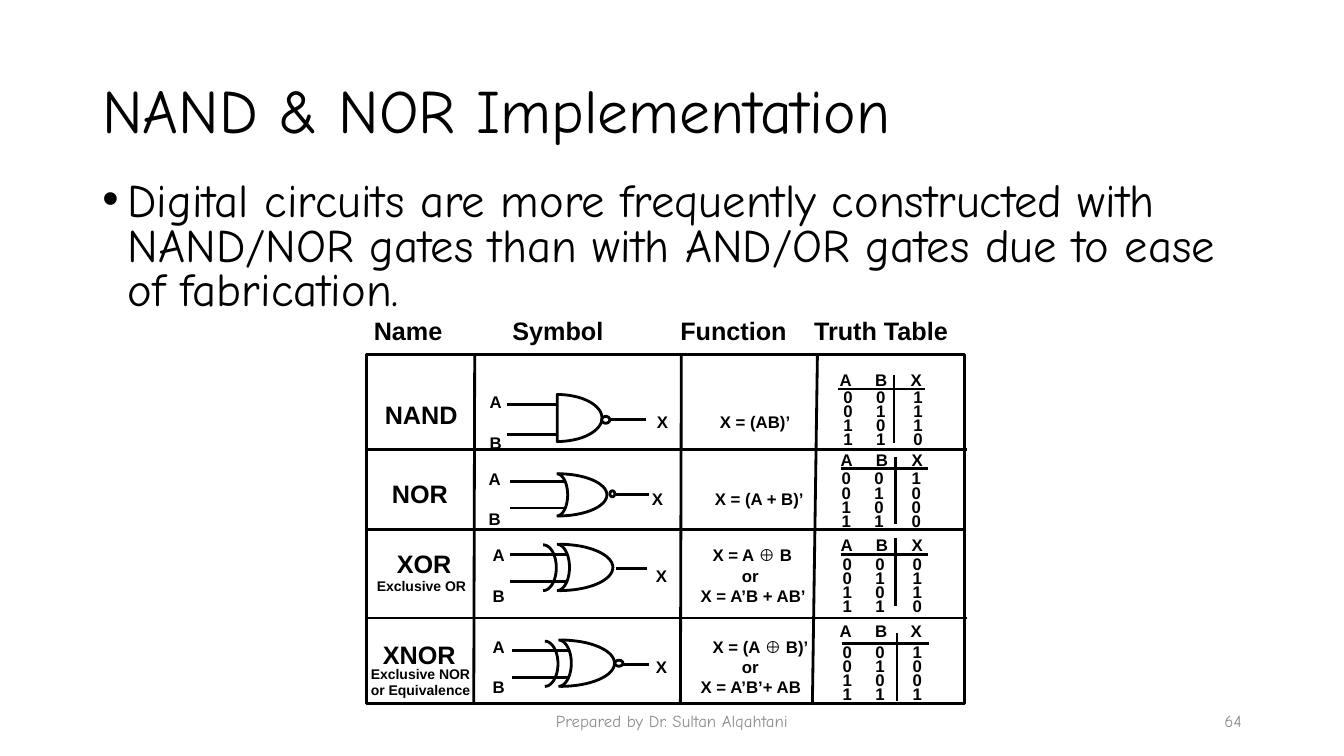
"""Build a slide that compares the NAND, NOR, XOR and XNOR gates."""
from dataclasses import dataclass
from itertools import product
from math import cos, pi, sin
from typing import NamedTuple, Optional

from lxml import etree
from pptx import Presentation
from pptx import util as u
from pptx.dml.color import RGBColor
from pptx.enum import shapes, text
from pptx.oxml.ns import qn

BLACK, WHITE, GREY = "000000", "FFFFFF", "8C8C8C"
HAND, SANS = "Comic Neue", "Arial"
STROKE = 2
FRAME_TOP, FRAME_BOTTOM = 253.4, 503.3


class Point(NamedTuple):
    x: float
    y: float


class Area(NamedTuple):
    x: float
    y: float
    width: float
    height: float


class Cell(NamedTuple):
    tab: float
    words: str


@dataclass
class Symbol:
    body: Area
    inputs: tuple[float, float]
    wire_start: float
    wire_end: float
    output: tuple[float, float]
    output_y: float
    bubble: Optional[Area] = None
    backs: tuple[Area, ...] = ()


@dataclass
class Truth:
    outputs: str
    header: Point
    digits: Point
    rule: Point
    stem: Point


@dataclass
class Gate:
    name: str
    name_at: Point
    label_at: Point
    labels: list[list[Cell]]
    symbol: Symbol
    truth: Truth
    note: tuple[str, ...] = ()
    note_at: Point = Point(0, 0)


def simple_labels(output_tab: float, function_tab: float, formula: str) -> list[list[Cell]]:
    return [[Cell(0, "A")],
            [Cell(output_tab, "X"), Cell(function_tab, formula)],
            [Cell(0, "B")]]


def exclusive_labels(first: str, second: str) -> list[list[Cell]]:
    return [[Cell(0, "A"), Cell(157, first)],
            [Cell(116.5, "X"), Cell(178, "or")],
            [Cell(0, "B"), Cell(148.5, second)]]


GATES = [
    Gate("NAND", Point(267.8, 281.5), Point(342.7, 276.5),
         simple_labels(119.4, 164.4, "X = (AB)’"),
         Symbol(Area(398, 281.8, 32, 33.6), (288.7, 310.3), 362.2, 398,
                (436.3, 461.5), 299.5, Area(429.8, 297.4, 5.8, 5)),
         Truth("1110", Point(592.6, 264.2), Point(595.4, 276.5),
               Point(598.3, 277.9), Point(638.6, 267.8))),
    Gate("NOR", Point(272.9, 338.4), Point(342, 331.2),
         simple_labels(116.5, 161.5, "X = (A + B)’"),
         Symbol(Area(398.2, 338.4, 35.3, 30.2), (344.2, 362.9), 364.6, 404.6,
                (435.6, 463.7), 353.5, Area(435.6, 350.6, 3.6, 4.3),
                (Area(397.6, 338.4, 7.9, 30.2),)),
         Truth("1000", Point(593.3, 321.8), Point(594, 334.8),
               Point(600.5, 334.8), Point(639.4, 326.2))),
    Gate("XOR", Point(276.4, 388.1), Point(344.9, 385.9),
         exclusive_labels("X = A ⊕ B", "X = A’B + AB’"),
         Symbol(Area(399.6, 388.8, 38.2, 33.1), (396, 415.4), 364.6, 406,
                (439.9, 462.2), 406.1, None,
                (Area(397.8, 388.8, 9, 33.1), Area(388, 389.2, 9.4, 32.7))),
         Truth("0110", Point(593.3, 382.3), Point(594.7, 396),
               Point(600.5, 396), Point(639.4, 384.5)),
         ("Exclusive OR",), Point(262.1, 408.8)),
    Gate("XNOR", Point(266.4, 452.9), Point(344.9, 451.4),
         exclusive_labels("X = (A ⊕ B)’", "X = A’B’+ AB"),
         Symbol(Area(400.5, 457.2, 38.5, 33.1), (464.4, 483.8), 365.6, 406.8,
                (441.4, 463.7), 474.5, Area(439.2, 471.6, 5.8, 4.3),
                (Area(398.9, 457.2, 9.2, 33.1), Area(389.2, 458, 9.4, 32.3))),
         Truth("1001", Point(592.6, 443.5), Point(594.7, 458.6),
               Point(601.2, 459.4), Point(640.8, 452.2)),
         ("Exclusive NOR", "or Equivalence"), Point(257.8, 471.6)),
]


def colour(code: str) -> RGBColor:
    return RGBColor.from_string(code)


def add_span(para, words: str, size: float, font: str, code: str, bold: bool) -> None:
    span = para.add_run()
    span.text = words
    span.font.size, span.font.name, span.font.bold = u.Pt(size), font, bold
    span.font.color.rgb = colour(code)


def add_lines(page, area: Area, lines: list[list[Cell]], size: float = 12, spacing: float = 1,
              font: str = SANS, code: str = BLACK, bold: bool = True,
              align=text.PP_ALIGN.LEFT, anchor=text.MSO_ANCHOR.TOP) -> None:
    box = page.shapes.add_textbox(*map(u.Pt, area))
    frame = box.text_frame
    frame.word_wrap, frame.vertical_anchor = True, anchor
    for index, cells in enumerate(lines):
        para = frame.add_paragraph() if index else frame.paragraphs[0]
        para.alignment, para.line_spacing = align, spacing
        stops = [cell.tab for cell in cells if cell.tab]
        if stops:
            tabs = etree.SubElement(para._p.get_or_add_pPr(), qn("a:tabLst"))
            for stop in stops:
                etree.SubElement(tabs, qn("a:tab"), pos=str(u.Pt(stop)), algn="l")
        for cell in cells:
            add_span(para, ("\t" if cell.tab else "") + cell.words, size, font, code, bold)


def style_shape(shape, fill: Optional[str] = None) -> None:
    shape.shadow.inherit = False
    shape.line.color.rgb, shape.line.width = colour(BLACK), u.Pt(STROKE)
    if fill:
        shape.fill.solid()
        shape.fill.fore_color.rgb = colour(fill)
    else:
        shape.fill.background()


def add_line(page, start: Point, end: Point):
    line = page.shapes.add_connector(shapes.MSO_CONNECTOR.STRAIGHT, *map(u.Pt, (*start, *end)))
    line.line.color.rgb, line.line.width = colour(BLACK), u.Pt(STROKE)
    etree.SubElement(line._element.spPr, qn("a:effectLst"))
    return line


def add_half_ellipse(page, area: Area, close: bool = False) -> None:
    steps, radius = 32, area.height / 2
    angles = [pi * step / steps - pi / 2 for step in range(steps + 1)]
    points = [(u.Pt(area.x + area.width * cos(angle)),
               u.Pt(area.y + radius + radius * sin(angle))) for angle in angles]
    builder = page.shapes.build_freeform(*points[0])
    builder.add_line_segments(points[1:], close=close)
    style_shape(builder.convert_to_shape())


def add_symbol(page, symbol: Symbol) -> None:
    add_half_ellipse(page, symbol.body, close=not symbol.backs)
    for back in symbol.backs:
        add_half_ellipse(page, back)
    for y in symbol.inputs:
        add_line(page, Point(symbol.wire_end, y), Point(symbol.wire_start, y))
    start, end = symbol.output
    add_line(page, Point(start, symbol.output_y), Point(end, symbol.output_y))
    if symbol.bubble:
        bubble = page.shapes.add_shape(shapes.MSO_SHAPE.OVAL, *map(u.Pt, symbol.bubble))
        style_shape(bubble, WHITE)


def add_truth(page, truth: Truth) -> None:
    rows = [[Cell(0, a), Cell(23.4, b), Cell(50, x)]
            for (a, b), x in zip(product("01", repeat=2), truth.outputs)]
    add_lines(page, Area(*truth.digits, 78.5, 48.2), rows, spacing=0.7)
    header = [[Cell(0, "A"), Cell(25.3, "B"), Cell(50.7, "X")]]
    add_lines(page, Area(*truth.header, 73.4, 17.3), header, spacing=0.7)
    add_line(page, truth.rule, Point(truth.rule.x + 62.3, truth.rule.y))
    add_line(page, truth.stem, Point(truth.stem.x, truth.stem.y + 48.3))


def add_gate(page, gate: Gate) -> None:
    add_lines(page, Area(*gate.label_at, 252, 50.4), gate.labels)
    add_symbol(page, gate.symbol)
    add_lines(page, Area(*gate.name_at, 80, 28.8), [[Cell(0, gate.name)]], 18)
    if gate.note:
        add_lines(page, Area(*gate.note_at, 92, 31), [[Cell(0, line)] for line in gate.note], 10)
    add_truth(page, gate.truth)


def add_grid(page) -> None:
    frame = page.shapes.add_shape(shapes.MSO_SHAPE.RECTANGLE, *map(
        u.Pt, (262.1, FRAME_TOP, 427, 249.1)))
    style_shape(frame)
    for top_x, bottom_x in ((339.1, 338.4), (486.7, 486), (583.9, 580.3)):
        add_line(page, Point(top_x, FRAME_TOP), Point(bottom_x, FRAME_BOTTOM))
    _, middle, _ = [add_line(page, Point(691, y), Point(261.4, y)) for y in (321.1, 378.5, 441.4)]
    middle.begin_connect(frame, 3)
    middle.end_connect(frame, 1)


def fill_placeholder(holder, area: Area, words: str, size: float, spacing: float, anchor):
    holder.left, holder.top, holder.width, holder.height = map(u.Pt, area)
    frame = holder.text_frame
    frame.auto_size, frame.vertical_anchor = text.MSO_AUTO_SIZE.NONE, anchor
    para = frame.paragraphs[0]
    para.alignment, para.line_spacing, para.space_before = text.PP_ALIGN.LEFT, spacing, u.Pt(0)
    add_span(para, words, size, HAND, BLACK, False)
    return para


def main() -> None:
    deck = Presentation()
    deck.slide_width, deck.slide_height = u.Pt(960), u.Pt(540)
    page = deck.slides.add_slide(deck.slide_layouts[1])
    title, body = page.placeholders
    fill_placeholder(title, Area(66, 28.8, 828, 104.4), "NAND & NOR Implementation",
                     44, 0.9, text.MSO_ANCHOR.MIDDLE)
    para = fill_placeholder(
        body, Area(66, 126, 828, 107.3),
        "Digital circuits are more frequently constructed with NAND/NOR gates "
        "than with AND/OR gates due to ease of fabrication.", 33.3, 0.8, text.MSO_ANCHOR.TOP)
    props = para._p.get_or_add_pPr()
    props.set("marL", str(u.Pt(18)))
    props.set("indent", str(u.Pt(-18)))
    etree.SubElement(props, qn("a:buFont"), typeface=SANS)
    etree.SubElement(props, qn("a:buChar"), char="•")
    for area, words, align in (
            (Area(318, 500.5, 324, 28.8), "Prepared by Dr. Sultan Alqahtani", text.PP_ALIGN.CENTER),
            (Area(678, 500.5, 216, 28.8), "64", text.PP_ALIGN.RIGHT)):
        add_lines(page, area, [[Cell(0, words)]], font=HAND, code=GREY, bold=False,
                  align=align, anchor=text.MSO_ANCHOR.MIDDLE)
    headings = [Cell(0, "Name"), Cell(99, "Symbol"), Cell(219, "Function"),
                Cell(314.5, "Truth Table")]
    add_lines(page, Area(259.9, 221.8, 440, 28.8), [headings], 18)
    for gate in GATES:
        add_gate(page, gate)
    add_grid(page)
    deck.save("out.pptx")


if __name__ == "__main__":
    main()
